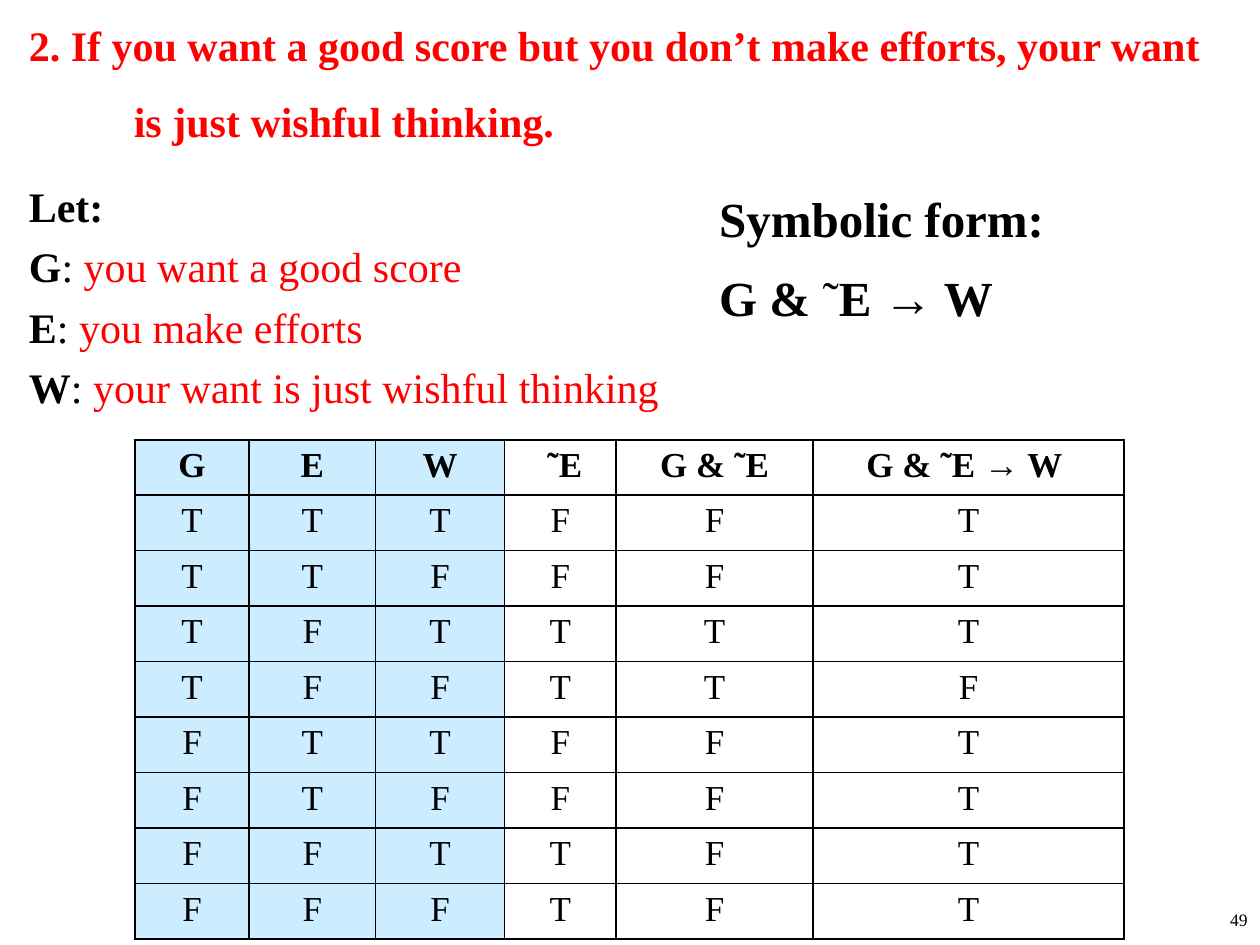
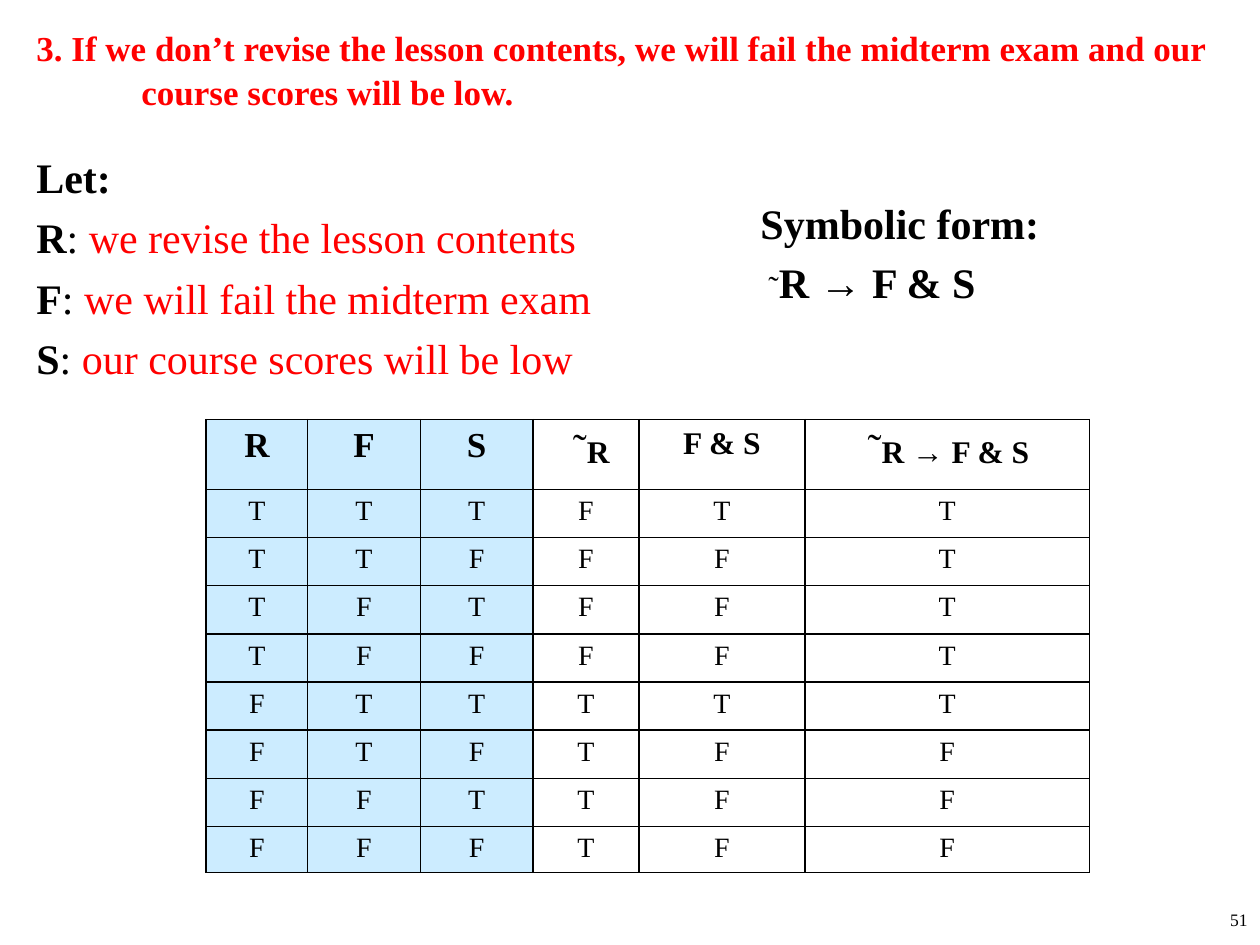
from itertools import product

from lxml.etree import SubElement
from pptx import Presentation
from pptx.dml.color import RGBColor
from pptx.enum.text import MSO_ANCHOR as ANCHOR, PP_ALIGN as ALIGN
from pptx.oxml.ns import qn
from pptx.util import Pt

FONT = "Times New Roman"
COLORS = {"text": "000000", "accent": "FF0000", "inputs": "CCECFF", "border": "000000"}
TITLE_HANG = 60
PAGE_NUMBER_BOX = (570.2, 516.2, 149.8, 23.8)


def rgb(name):
    return RGBColor.from_string(COLORS[name])


def add_text(p, text, size=24, color="text", bold=False):
    r = p.add_run()
    r.text = text
    r.font.name = FONT
    r.font.size = Pt(size)
    r.font.bold = bold
    r.font.color.rgb = rgb(color)


def add_box(s, box, paragraphs, gap=0, align=ALIGN.LEFT, anchor=ANCHOR.TOP):
    """Add a text box; each paragraph is a list of (text, format) runs."""
    tf = s.shapes.add_textbox(*map(Pt, box)).text_frame
    tf.word_wrap = True
    tf.vertical_anchor = anchor
    for i, runs in enumerate(paragraphs):
        p = tf.paragraphs[0] if i == 0 else tf.add_paragraph()
        p.alignment = align
        if i:
            p.space_before = Pt(gap)
        for text, fmt in runs:
            add_text(p, text, **fmt)
    return tf


def add_title(s, box, text, size, line_spacing=1.0, anchor=ANCHOR.TOP):
    runs = [(text, dict(size=size, color="accent", bold=True))]
    p = add_box(s, box, [runs], anchor=anchor).paragraphs[0]
    p.line_spacing = line_spacing
    pPr = p._p.get_or_add_pPr()
    pPr.set("marL", str(Pt(TITLE_HANG)))
    pPr.set("indent", str(-Pt(TITLE_HANG)))


def add_definitions(s, box, meanings):
    paragraphs = [[("Let:", dict(bold=True))]]
    for letter, meaning in meanings.items():
        paragraphs.append([(letter, dict(bold=True)), (": ", {}),
                           (meaning, dict(color="accent"))])
    add_box(s, box, paragraphs, gap=5.8)


def add_symbolic_form(s, box, formula, size, gap):
    heading = [("Symbolic form:", dict(size=size, bold=True))]
    add_box(s, box, [heading, formula], gap=gap)


def add_borders(cell):
    tcPr = cell._tc.get_or_add_tcPr()
    for i, side in enumerate(("lnL", "lnR", "lnT", "lnB")):
        ln = tcPr.makeelement(qn(f"a:{side}"), {"w": str(Pt(1))})
        fill = SubElement(ln, qn("a:solidFill"))
        SubElement(fill, qn("a:srgbClr"), val=COLORS["border"])
        tcPr.insert(i, ln)


def truth_rows(derive):
    """Return the T/F rows of three inputs followed by the derived columns."""
    return [["T" if v else "F" for v in (*inputs, *derive(*inputs))]
            for inputs in product((True, False), repeat=3)]


def add_truth_table(s, left, top, widths, heights, headers, rows, size):
    shape = s.shapes.add_table(len(heights), len(widths), Pt(left), Pt(top),
                               Pt(sum(widths)), Pt(sum(heights)))
    table = shape.table
    table.first_row = table.horz_banding = False
    for column, width in zip(table.columns, widths):
        column.width = Pt(width)
    for row, height in zip(table.rows, heights):
        row.height = Pt(height)
    body = [[[(value, dict(size=size))] for value in row] for row in rows]
    for i, row in enumerate([headers] + body):
        for j, runs in enumerate(row):
            cell = table.cell(i, j)
            if j < 3:
                cell.fill.solid()
                cell.fill.fore_color.rgb = rgb("inputs")
            else:
                cell.fill.background()
            add_borders(cell)
            p = cell.text_frame.paragraphs[0]
            p.alignment = ALIGN.CENTER
            for text, fmt in runs:
                add_text(p, text, **fmt)


def add_page_number(s, number):
    add_box(s, PAGE_NUMBER_BOX, [[(str(number), dict(size=10))]], align=ALIGN.RIGHT)


def build_score_slide(s):
    add_page_number(s, 49)
    add_title(s, (9.4, -5, 701.3, 90),
              "2. If you want a good score but you don’t make efforts, "
              "your want is just wishful thinking.",
              size=24, line_spacing=1.5, anchor=ANCHOR.MIDDLE)
    add_definitions(s, (9.4, 99.4, 416.2, 121.7), {
        "G": "you want a good score",
        "E": "you make efforts",
        "W": "your want is just wishful thinking",
    })
    strong = dict(size=28, bold=True)
    add_symbolic_form(s, (403.9, 104.4, 289.4, 87.8),
                      [("G & ", strong), ("˜", dict(size=28)), ("E → W", strong)],
                      size=28, gap=11.5)
    headers = [[(text, dict(size=20, bold=True))]
               for text in ("G", "E", "W", " ˜E", "G & ˜E", "G & ˜E → W ")]
    rows = truth_rows(lambda g, e, w: (not e, g and not e, not (g and not e) or w))
    add_truth_table(s, 77.2, 251.3, [65.2, 72.3, 73.7, 63.8, 112.5, 177.7],
                    [31.7] * 9, headers, rows, size=20)


def build_exam_slide(s):
    add_page_number(s, 51)
    add_title(s, (13.7, 10.6, 692.6, 82.2),
              "3. If we don’t revise the lesson contents, we will fail the midterm exam "
              "and our course scores will be low.", size=20, line_spacing=1.04)
    add_symbolic_form(s, (427.5, 109.4, 206.6, 70.6),
                      [(" ˜", dict(size=18)), ("R → F & S", dict(bold=True))],
                      size=24, gap=5)
    letter, formula = dict(size=20, bold=True), dict(size=18, bold=True)
    tilde = (" ˜", dict(size=24))
    headers = [[(text, letter)] for text in "RFS"]
    headers += [[tilde, ("R", formula)], [("F & S", formula)],
                [tilde, ("R → F & S ", formula)]]
    rows = truth_rows(lambda r, f, sc: (not r, f and sc, r or (f and sc)))
    add_truth_table(s, 117.8, 239.8, [58, 64.4, 64.4, 60.6, 94.8, 162.6],
                    [39.8] + [27.55] * 7 + [26.2], headers, rows, size=16)
    add_definitions(s, (13.7, 82.8, 480.2, 124.6), {
        "R": "we revise the lesson contents",
        "F": "we will fail the midterm exam",
        "S": "our course scores will be low",
    })


def main():
    prs = Presentation()
    prs.slide_width, prs.slide_height = Pt(720), Pt(540)
    for build in (build_score_slide, build_exam_slide):
        build(prs.slides.add_slide(prs.slide_layouts[6]))
    prs.save("out.pptx")


if __name__ == "__main__":
    main()
